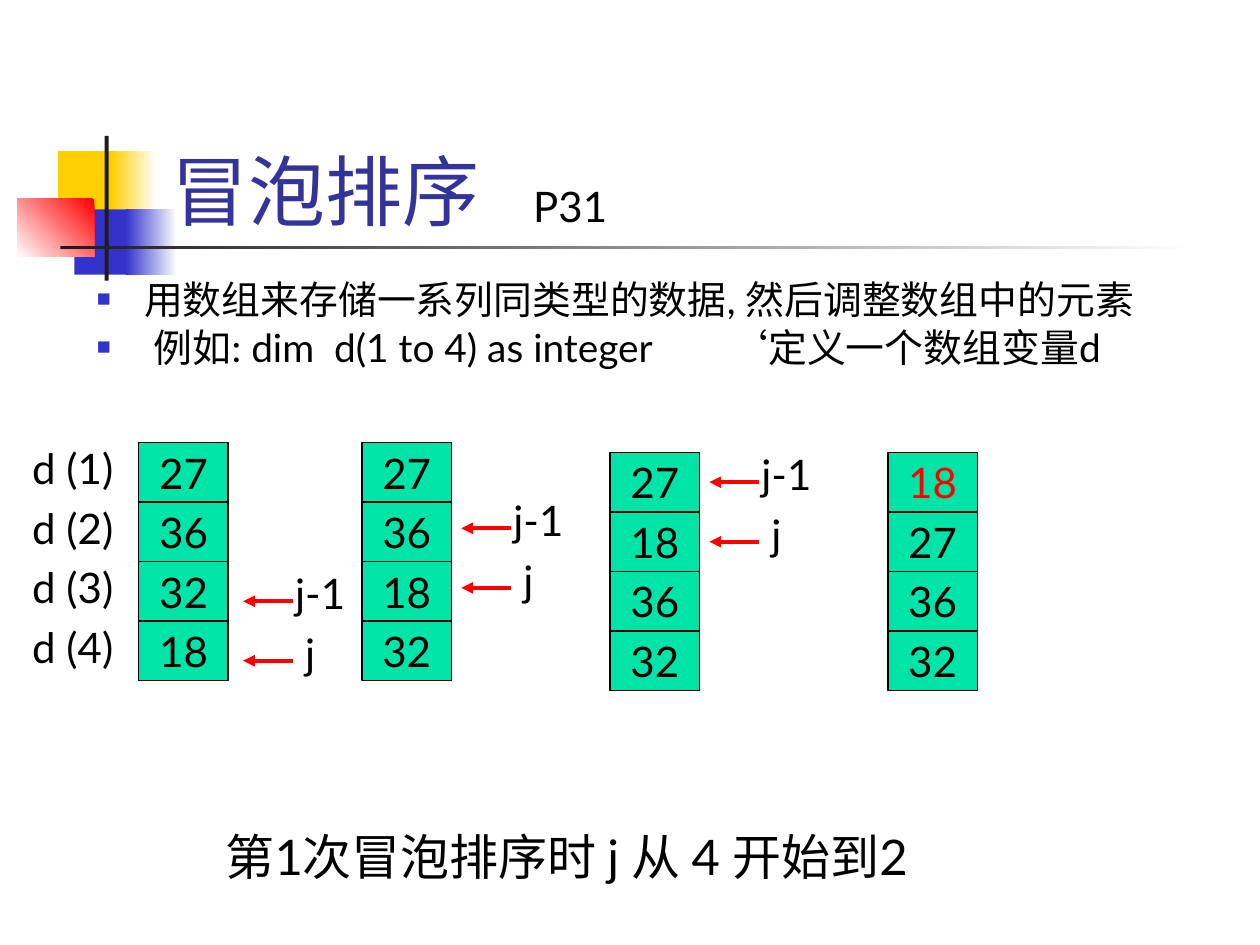
from lxml import etree
from pptx import Presentation
from pptx.dml.color import RGBColor
from pptx.enum.shapes import MSO_CONNECTOR, MSO_SHAPE
from pptx.enum.text import MSO_ANCHOR, MSO_AUTO_SIZE, PP_ALIGN
from pptx.oxml.ns import qn
from pptx.util import Cm, Pt

RECTANGLE, STRAIGHT = MSO_SHAPE.RECTANGLE, MSO_CONNECTOR.STRAIGHT
LEFT, CENTER = PP_ALIGN.LEFT, PP_ALIGN.CENTER
FONT = "Lato"
COLORS = {"black": "000000", "red": "FF0000", "green": "00E4A8", "title": "333399",
          "yellow": "FFCF01", "blue": "3333CC", "dark": "1C1C1C", "white": "FFFFFF"}

TITLE = "冒泡排序"
PAGE = "P31"
CAPTION = "第1次冒泡排序时 j 从 4 开始到2"
# text, hanging indent in cm
BULLETS = [("用数组来存储一系列同类型的数据, 然后调整数组中的元素", 0.95),
           ("例如: dim  d(1 to 4) as integer\t‘定义一个数组变量d", 1.15)]
COMMENT_TAB = 12.75
INDEX_LABELS = ["d (1)", "d (2)", "d (3)", "d (4)"]

# Each pass: array position, values, number in red, and the tip of the j-1 arrow (cm)
PASSES = [
    {"at": (2.8, 8.92), "values": [27, 36, 32, 18], "settled": None, "tip": (4.9, 12.12)},
    {"at": (7.3, 8.92), "values": [27, 36, 18, 32], "settled": None, "tip": (9.3, 10.65)},
    {"at": (12.3, 9.12), "values": [27, 18, 36, 32], "settled": None, "tip": (14.3, 9.72)},
    {"at": (17.9, 9.12), "values": [18, 27, 36, 32], "settled": 18, "tip": None},
]
# Pointer label, width, offset of its box from the arrow's start
POINTERS = [("j-1", 1.6, -0.2), ("j", 0.8, 0)]
CELL_WIDTH, ROW = 1.8, 1.2
ARROW_LENGTH, LABEL_RISE = 1.0, 0.8

# left, top, width, height (cm), colours, gradient angle
ORNAMENTS = [
    (1.17, 3.05, 1.22, 1.32, ["yellow"], None),
    (2.24, 3.05, 0.91, 1.32, ["yellow", "white"], 0),
    (1.5, 4.22, 1.17, 1.32, ["blue"], None),
    (2.54, 4.22, 1.02, 1.32, ["blue", "white"], 0),
    (0.35, 4.01, 1.55, 1.17, ["red", "white"], 225),
    (2.11, 2.74, 0.08, 2.92, ["dark"], None),
    (1.22, 4.95, 22.86, 0.08, ["dark", "white"], 0),
]


def rgb(name):
    return RGBColor.from_string(COLORS[name])


def style(paragraph, size, color="black", align=LEFT):
    paragraph.alignment = align
    paragraph.font.name = FONT
    paragraph.font.size = Pt(size)
    paragraph.font.color.rgb = rgb(color)


def add_label(slide, text, left, top, width, height=1.27, size=24):
    frame = slide.shapes.add_textbox(Cm(left), Cm(top), Cm(width), Cm(height)).text_frame
    frame.word_wrap = True
    frame.text = text
    style(frame.paragraphs[0], size)


def add_rectangle(slide, left, top, width, height):
    rectangle = slide.shapes.add_shape(RECTANGLE, Cm(left), Cm(top), Cm(width), Cm(height))
    rectangle.shadow.inherit = False
    return rectangle


def add_ornament(slide, left, top, width, height, colors, angle):
    ornament = add_rectangle(slide, left, top, width, height)
    ornament.line.fill.background()
    if angle is None:
        ornament.fill.solid()
        ornament.fill.fore_color.rgb = rgb(colors[0])
        return
    ornament.fill.gradient()
    ornament.fill.gradient_angle = angle
    for stop, color in zip(ornament.fill.gradient_stops, colors):
        stop.color.rgb = rgb(color)


def add_cell(slide, value, left, top, color):
    cell = add_rectangle(slide, left, top, CELL_WIDTH, ROW)
    cell.fill.solid()
    cell.fill.fore_color.rgb = rgb("green")
    cell.line.color.rgb = rgb("black")
    cell.line.width = Pt(0.75)
    frame = cell.text_frame
    frame.word_wrap = False
    frame.vertical_anchor = MSO_ANCHOR.MIDDLE
    frame.text = str(value)
    style(frame.paragraphs[0], 24, color, CENTER)


def add_arrow(slide, start, tip, y):
    arrow = slide.shapes.add_connector(STRAIGHT, Cm(start), Cm(y), Cm(tip), Cm(y))
    arrow.line.color.rgb = rgb("red")
    arrow.line.width = Pt(2.25)
    etree.SubElement(arrow.line._get_or_add_ln(), qn("a:tailEnd"), type="triangle")
    etree.SubElement(arrow._element.spPr, qn("a:effectLst"))


def add_pass(slide, step):
    left, top = step["at"]
    for row, value in enumerate(step["values"]):
        color = "red" if value == step["settled"] else "black"
        add_cell(slide, value, left, top + row * ROW, color)
    if step["tip"]:
        tip, first_y = step["tip"]
        start = tip + ARROW_LENGTH
        for row, (name, width, offset) in enumerate(POINTERS):
            y = first_y + row * ROW
            add_label(slide, name, start + offset, y - LABEL_RISE, width)
            add_arrow(slide, start, tip, y)


def set_bullet(paragraph, indent):
    """Give a square bullet, a hanging indent and the tab stop of the code comment."""
    properties = paragraph._p.get_or_add_pPr()
    properties.set("marL", str(Cm(indent)))
    properties.set("indent", str(-Cm(indent)))
    color = etree.SubElement(properties, qn("a:buClr"))
    etree.SubElement(color, qn("a:srgbClr"), val=COLORS["blue"])
    etree.SubElement(properties, qn("a:buSzPct"), val="60000")
    etree.SubElement(properties, qn("a:buChar"), char="■")
    tabs = etree.SubElement(properties, qn("a:tabLst"))
    etree.SubElement(tabs, qn("a:tab"), pos=str(Cm(COMMENT_TAB)), algn="l")


def place(slide, placeholder, left, top, width, height, anchor):
    """Position a placeholder in front of everything drawn so far."""
    placeholder.left, placeholder.top = Cm(left), Cm(top)
    placeholder.width, placeholder.height = Cm(width), Cm(height)
    placeholder.text_frame.vertical_anchor = anchor
    placeholder.text_frame.auto_size = MSO_AUTO_SIZE.NONE
    slide.shapes._spTree.append(placeholder._element)
    return placeholder.text_frame


def main():
    deck = Presentation()
    deck.slide_width, deck.slide_height = Cm(25.4), Cm(19.05)
    slide = deck.slides.add_slide(deck.slide_layouts[1])
    title, body = slide.shapes.title, slide.placeholders[1]

    for ornament in ORNAMENTS:
        add_ornament(slide, *ornament)

    heading = place(slide, title, 3.2, 1.7, 21.64, 3.18, MSO_ANCHOR.BOTTOM)
    heading.text = TITLE
    style(heading.paragraphs[0], 44, "title")

    points = place(slide, body, 1.7, 5.61, 23.16, 2.51, MSO_ANCHOR.TOP)
    points.text = "\n".join(text for text, _ in BULLETS)
    for number, (paragraph, (_, indent)) in enumerate(zip(points.paragraphs, BULLETS)):
        paragraph.line_spacing = 0.8
        paragraph.space_before = Pt(6 if number else 0)
        set_bullet(paragraph, indent)
        style(paragraph, 22.2)

    for row, name in enumerate(INDEX_LABELS):
        add_label(slide, name, 0.4, 8.8 + row * ROW, 2.2)
    for step in PASSES:
        add_pass(slide, step)

    add_label(slide, CAPTION, 4.3, 16.53, 16.8, 1.45, 28)
    add_label(slide, PAGE, 10.5, 3.52, 12.8)
    deck.save("out.pptx")


if __name__ == "__main__":
    main()
